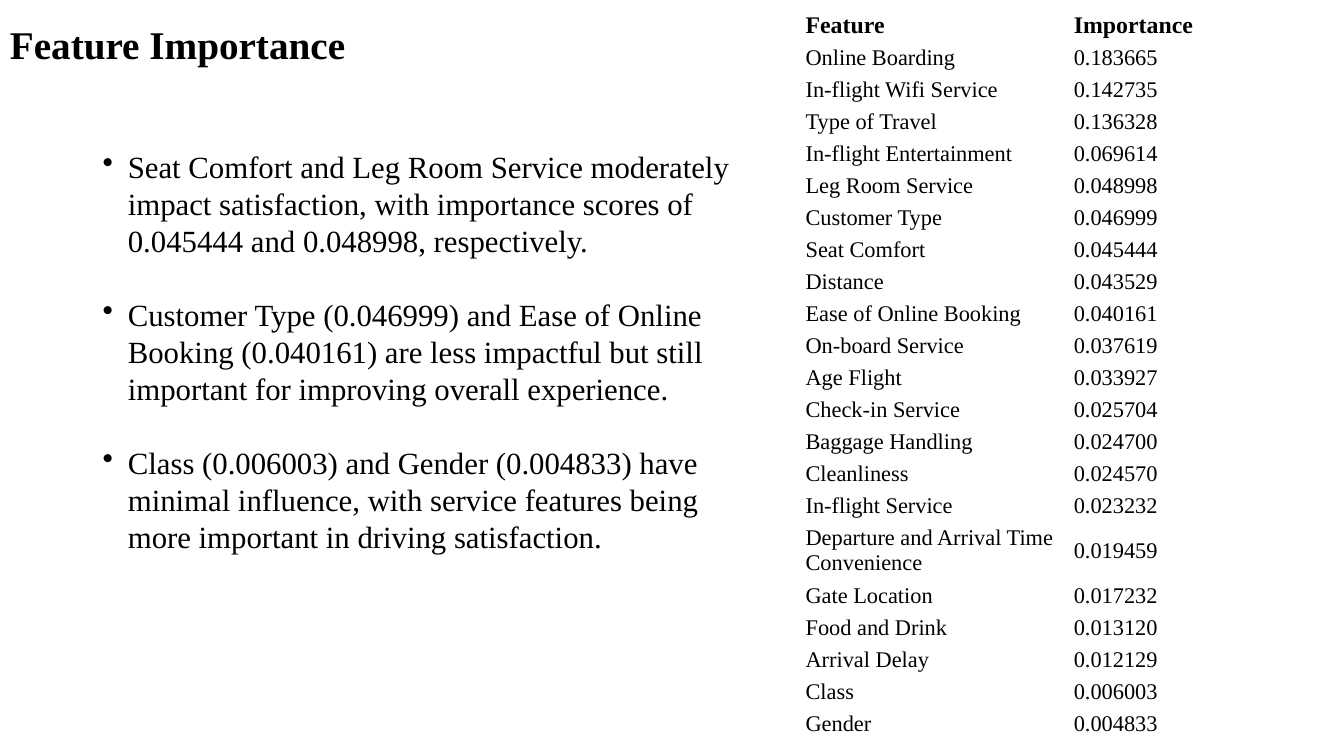
from lxml import etree
from pptx import Presentation
from pptx import util as u
from pptx.dml.color import RGBColor
from pptx.enum import text
from pptx.oxml.ns import qn

BLACK = RGBColor(0, 0, 0)
FONT = "Times New Roman"

features = [
    ("Feature", "Importance"),
    ("Online Boarding", "0.183665"),
    ("In-flight Wifi Service", "0.142735"),
    ("Type of Travel", "0.136328"),
    ("In-flight Entertainment", "0.069614"),
    ("Leg Room Service", "0.048998"),
    ("Customer Type", "0.046999"),
    ("Seat Comfort", "0.045444"),
    ("Distance", "0.043529"),
    ("Ease of Online Booking", "0.040161"),
    ("On-board Service", "0.037619"),
    ("Age Flight", "0.033927"),
    ("Check-in Service", "0.025704"),
    ("Baggage Handling", "0.024700"),
    ("Cleanliness", "0.024570"),
    ("In-flight Service", "0.023232"),
    ("Departure and Arrival Time Convenience", "0.019459"),
    ("Gate Location", "0.017232"),
    ("Food and Drink", "0.013120"),
    ("Arrival Delay", "0.012129"),
    ("Class", "0.006003"),
    ("Gender", "0.004833"),
]
findings = [
    "Seat Comfort and Leg Room Service moderately impact satisfaction, "
    "with importance scores of 0.045444 and 0.048998, respectively.",
    "Customer Type (0.046999) and Ease of Online Booking (0.040161) are less "
    "impactful but still important for improving overall experience.",
    "Class (0.006003) and Gender (0.004833) have minimal influence, "
    "with service features being more important in driving satisfaction.",
]


def set_font(paragraph, size, bold=False):
    paragraph.font.name = FONT
    paragraph.font.size = u.Pt(size)
    paragraph.font.bold = bold
    paragraph.font.color.rgb = BLACK


def add_text_frame(left, top, width, height):
    box = slide.shapes.add_textbox(*map(u.Inches, (left, top, width, height)))
    frame = box.text_frame
    frame.word_wrap = True
    frame.vertical_anchor = text.MSO_ANCHOR.MIDDLE
    return frame


presentation = Presentation()
presentation.slide_width = u.Inches(13.33)
presentation.slide_height = u.Inches(7.5)
slide = presentation.slides.add_slide(presentation.slide_layouts[6])

title = add_text_frame(0, 0, 12.42, 1.4)
title.margin_bottom = u.Inches(0.52)
title.text = "Feature Importance"
title.paragraphs[0].line_spacing = 0.9
set_font(title.paragraphs[0], 28, bold=True)

table_height = 7.25
header_height = 0.33
wrapped_height = 0.58
row_height = (table_height - header_height - wrapped_height) / (len(features) - 2)
table = slide.shapes.add_table(
    len(features), 2,
    u.Inches(7.94), u.Inches(0.09), u.Inches(5.32), u.Inches(table_height),
).table
table.first_row = False
table.horz_banding = False
for row_index, values in enumerate(features):
    is_header = row_index == 0
    wraps = len(values[0]) > 30
    height = header_height if is_header else wrapped_height if wraps else row_height
    table.rows[row_index].height = u.Inches(height)
    for column_index, value in enumerate(values):
        cell = table.cell(row_index, column_index)
        cell.text = value
        cell.fill.background()
        cell.vertical_anchor = text.MSO_ANCHOR.MIDDLE
        cell.margin_left = cell.margin_right = u.Inches(0.05)
        cell.margin_top = cell.margin_bottom = u.Inches(0.02)
        set_font(cell.text_frame.paragraphs[0], 17 if is_header else 16, is_header)

body = add_text_frame(0.92, 1.4, 6.74, 4.17)
body.text = "\n".join(findings)
for index, paragraph in enumerate(body.paragraphs):
    set_font(paragraph, 22)
    if index:
        paragraph.space_before = u.Pt(26.4)
    properties = paragraph._p.get_or_add_pPr()
    properties.set("marL", str(u.Inches(0.25)))
    properties.set("indent", str(-u.Inches(0.25)))
    bullet = etree.Element(qn("a:buChar"), char="•")
    properties.find(qn("a:defRPr")).addprevious(bullet)

presentation.save("out.pptx")
